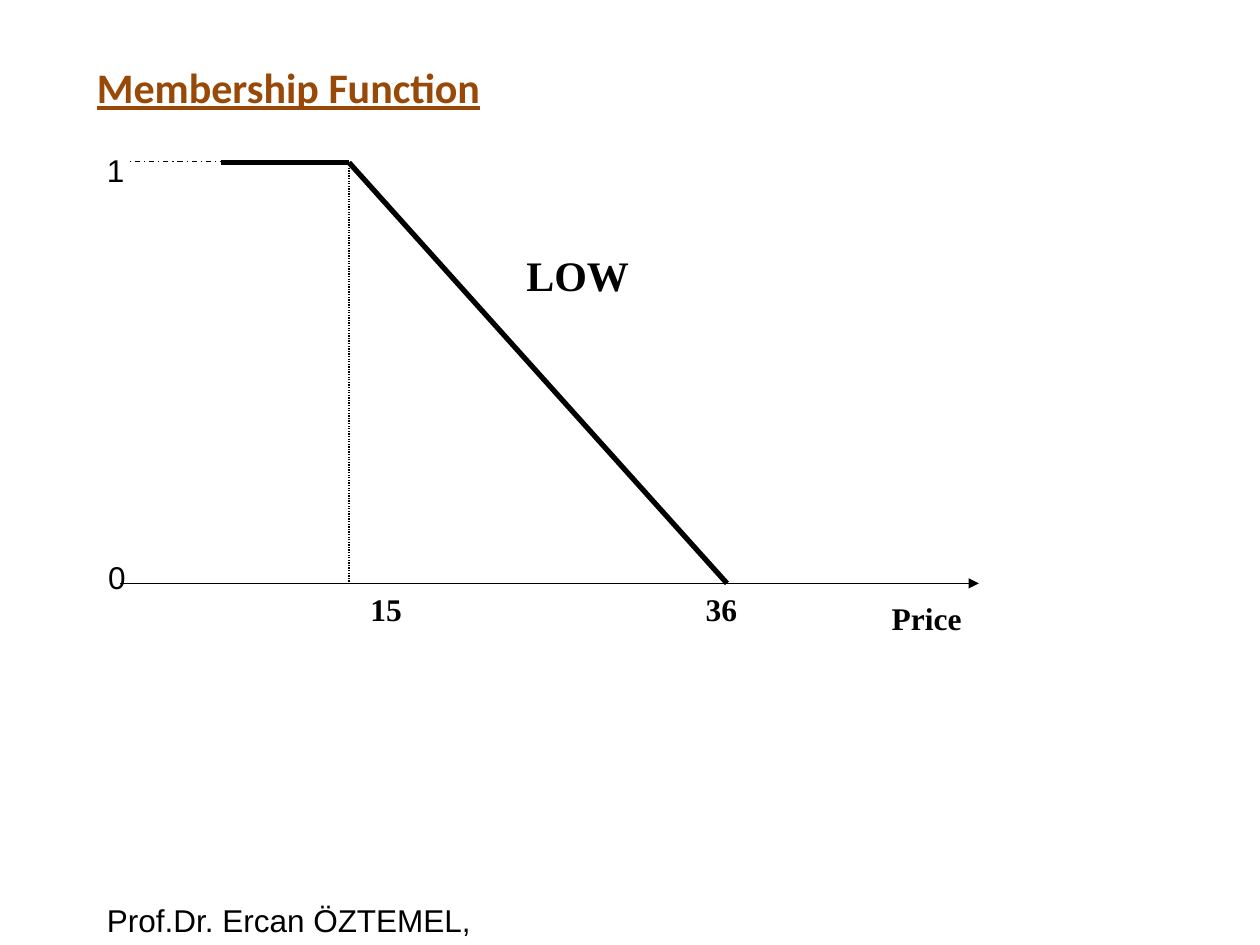
from lxml import etree
from pptx import Presentation
from pptx import util as u
from pptx.dml.color import RGBColor
from pptx.enum import dml, shapes, text
from pptx.oxml.ns import qn

COLUMNS, ROWS = 100, 75
BLACK, BROWN, RED = "000000", "984807", "C0504D"
SERIF = "Times New Roman"

# Key positions of the membership function, in columns and rows
FULL_LOW, NOT_LOW = 27.7, 57.7
MEMBER, NON_MEMBER = 12.9, 46.3


def color(hex_value):
    return RGBColor.from_string(hex_value)


def write(frame, wording, font="Arial", size=18, ink=BLACK, bold=False,
          underline=False, align=text.PP_ALIGN.LEFT, spacing=None):
    paragraph = frame.paragraphs[0]
    paragraph.alignment = align
    paragraph.line_spacing = spacing
    run = paragraph.add_run()
    run.text = wording
    run.font.name, run.font.size = font, u.Pt(size)
    run.font.bold, run.font.underline = bold, underline
    run.font.color.rgb = color(ink)


class Diagram:
    """Draws on one slide, with lengths in grid columns and rows."""

    def __init__(self, deck):
        self.slide = deck.slides.add_slide(deck.slide_layouts[6])
        self.column = deck.slide_width / COLUMNS
        self.row = deck.slide_height / ROWS

    def place(self, x, y):
        return round(x * self.column), round(y * self.row)

    def label(self, wording, x, y, width, height, wrap=False, **style):
        box = self.slide.shapes.add_textbox(
            *self.place(x, y), *self.place(width, height))
        box.text_frame.word_wrap = wrap
        write(box.text_frame, wording, **style)

    def line(self, start, end, ink=BLACK, weight=0.75, dash=None, arrow=False):
        connector = self.slide.shapes.add_connector(
            shapes.MSO_CONNECTOR.STRAIGHT, *self.place(*start), *self.place(*end))
        connector.line.color.rgb = color(ink)
        connector.line.width = u.Pt(weight)
        if dash:
            connector.line.dash_style = dash
        if arrow:
            outline = connector.line._get_or_add_ln()
            etree.SubElement(outline, qn("a:tailEnd"), type="triangle")
        etree.SubElement(connector._element.spPr, qn("a:effectLst"))


def main():
    deck = Presentation()
    deck.slide_width, deck.slide_height = u.Inches(10), u.Inches(7.5)
    diagram = Diagram(deck)
    axis_text = dict(font=SERIF, bold=True, align=text.PP_ALIGN.CENTER)

    diagram.label("Prof.Dr. Ercan ÖZTEMEL,", 7.5, 71, 31.9, 4)
    diagram.label("Membership Function", 6.7, 4.4, 45.8, 5.1, wrap=True,
                  font="Calibri", size=24, ink=BROWN, bold=True, underline=True)

    peak, foot = (FULL_LOW, MEMBER), (NOT_LOW, NON_MEMBER)
    diagram.line((17.5, MEMBER), peak, weight=3)
    diagram.line(foot, peak, weight=3)
    diagram.line((51.2, NON_MEMBER), foot, ink=RED)
    diagram.line((9.5, NON_MEMBER), (77.7, NON_MEMBER), arrow=True)
    diagram.line(peak, (FULL_LOW, NON_MEMBER), dash=dml.MSO_LINE.ROUND_DOT)
    diagram.line((19, 12.8), (10, 12.8), dash=dml.MSO_LINE.DASH_DOT)

    for price, x in (("15", 28.4), ("36", 55)):
        diagram.label(price, x, NON_MEMBER, 4.5, 4, **axis_text)
    for degree, x, y in (("1", 7.5, 11.5), ("0", 7.6, 43.8)):
        diagram.label(degree, x, y, 3.4, 3.7)
    for name, x, y, height, size in (("LOW", 31.7, 20.4, 3.9, 24),
                                     ("Price", 59.4, 47.9, 3.2, 18)):
        diagram.label(name, x, y, 28.3, height, wrap=True, size=size,
                      spacing=0.7, **axis_text)

    deck.save("out.pptx")


if __name__ == "__main__":
    main()
